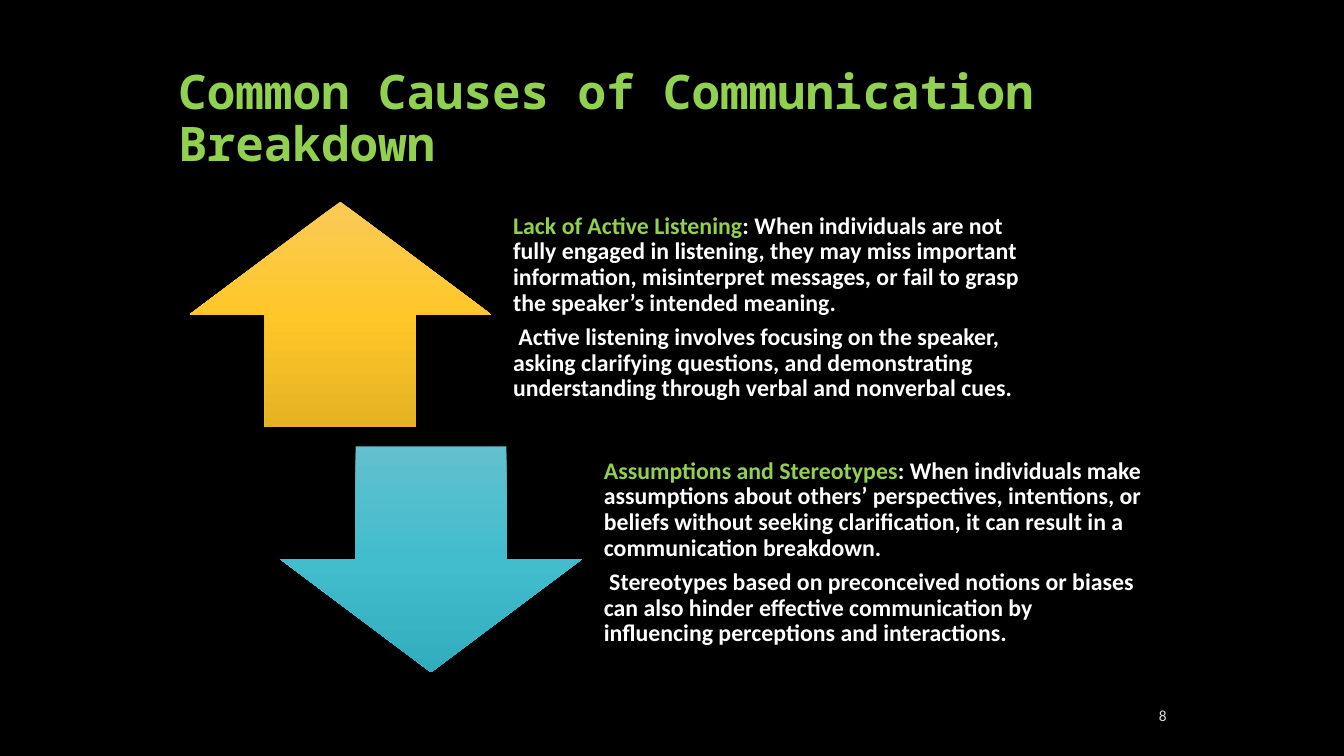
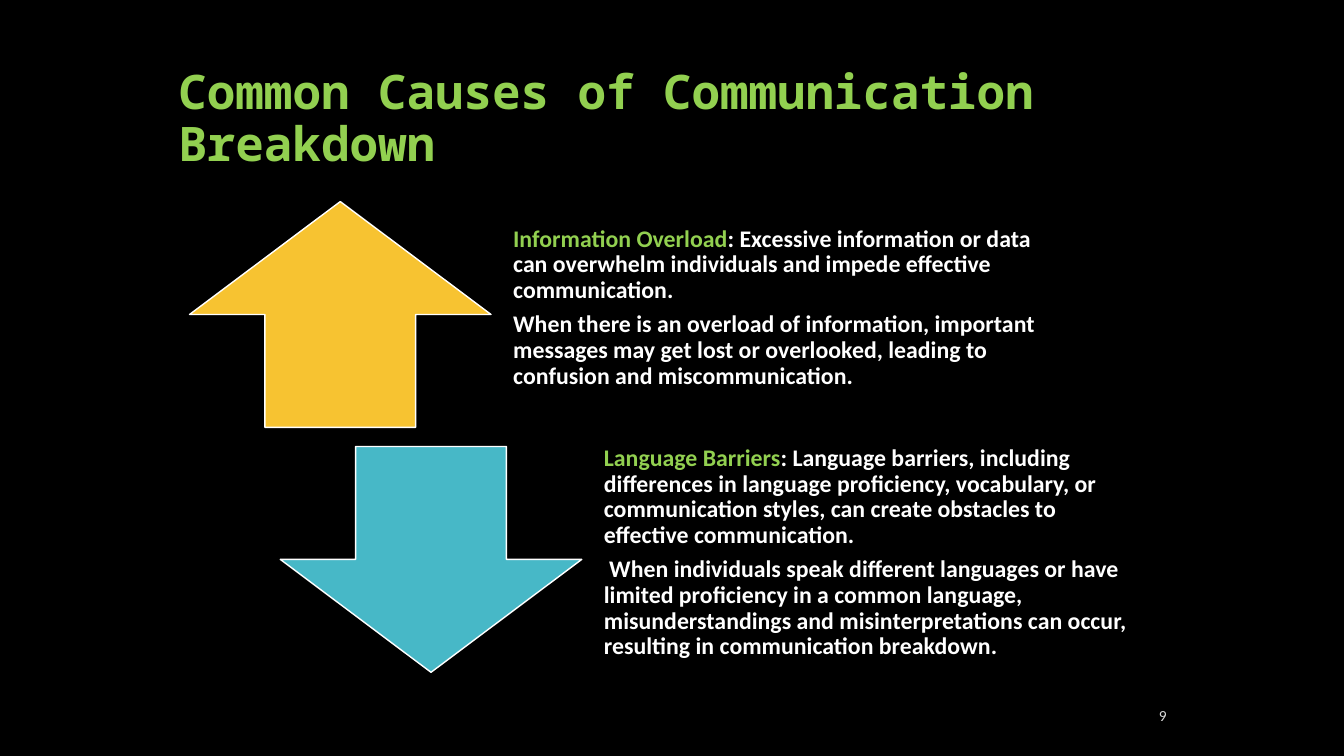
"""Build two slides on the causes of communication breakdown."""
from copy import deepcopy
from dataclasses import dataclass

from pptx import Presentation
from pptx.dml.color import RGBColor
from pptx.enum.shapes import MSO_SHAPE
from pptx.enum.text import MSO_ANCHOR, MSO_AUTO_SIZE, PP_ALIGN
from pptx.shapes.autoshape import Shape
from pptx.slide import Slide
from pptx.text.text import TextFrame
from pptx.util import Emu, Pt

SCALE = 9144
BLACK, WHITE, GREEN, GREY = "000000", "FFFFFF", "92D050", "D9D9D9"
HEAD = "Common Causes of Communication Breakdown"
ARROWS = (MSO_SHAPE.UP_ARROW, MSO_SHAPE.DOWN_ARROW)
LEFT, TOP, WIDE, HIGH = 188, 200, 299, 224
STEP, DROP = 90, 243
GAP, BODY = 9, 560


@dataclass(frozen=True)
class Cause:
    """One arrow with the cause it points out."""
    name: str
    lead: str
    more: str
    fill: tuple[str, ...]


@dataclass(frozen=True)
class Page:
    """One slide: its number and two causes."""
    num: int
    causes: tuple[Cause, Cause]
    edge: bool


PAGES = (
    Page(8, (
        Cause(
            "Lack of Active Listening",
            ": When individuals are not fully engaged in listening, they may miss "
            "important information, misinterpret messages, or fail to grasp the "
            "speaker’s intended meaning.",
            " Active listening involves focusing on the speaker, asking clarifying "
            "questions, and demonstrating understanding through verbal and "
            "nonverbal cues.",
            ("FACA57", "FFC729", "E5B222")),
        Cause(
            "Assumptions and Stereotypes",
            ": When individuals make assumptions about others’ perspectives, "
            "intentions, or beliefs without seeking clarification, it can result "
            "in a communication breakdown.",
            " Stereotypes based on preconceived notions or biases can also hinder "
            "effective communication by influencing perceptions and interactions.",
            ("63C0CE", "41BDCD", "32ADBE")),
    ), False),
    Page(9, (
        Cause(
            "Information Overload",
            ": Excessive information or data can overwhelm individuals and impede "
            "effective communication.",
            "When there is an overload of information, important messages may get "
            "lost or overlooked, leading to confusion and miscommunication.",
            ("F7C331",)),
        Cause(
            "Language Barriers",
            ": Language barriers, including differences in language proficiency, "
            "vocabulary, or communication styles, can create obstacles to "
            "effective communication.",
            " When individuals speak different languages or have limited "
            "proficiency in a common language, misunderstandings and "
            "misinterpretations can occur, resulting in communication breakdown.",
            ("47B8C7",)),
    ), True),
)


def px(num: int) -> Emu:
    """Turn px into EMU."""
    return Emu(num * SCALE)


def color(code: str) -> RGBColor:
    """Turn a hex string into a colour."""
    return RGBColor.from_string(code)


def write(frame: TextFrame, paras: list[list[tuple[str, str]]], *, size: int,
          font: str = "Calibri", bold: bool = False, line: float = 1.0,
          after: int = 0, align: PP_ALIGN = PP_ALIGN.LEFT,
          anchor: MSO_ANCHOR = MSO_ANCHOR.MIDDLE,
          inset: tuple[int, int, int, int] = (10, 5, 10, 5)) -> None:
    """Fill a frame with paragraphs of (text, colour) runs."""
    frame.word_wrap = True
    frame.auto_size = MSO_AUTO_SIZE.NONE
    frame.vertical_anchor = anchor
    (frame.margin_left, frame.margin_top,
     frame.margin_right, frame.margin_bottom) = map(px, inset)
    for idx, runs in enumerate(paras):
        para = frame.add_paragraph() if idx else frame.paragraphs[0]
        para.alignment, para.line_spacing = align, line
        para.space_before, para.space_after = Pt(0), Pt(after)
        for words, code in runs:
            run = para.add_run()
            run.text = words
            run.font.name, run.font.size, run.font.bold = font, Pt(size), bold
            run.font.color.rgb = color(code)


def add_box(slide: Slide, *area: int) -> TextFrame:
    """Add a text box and return its frame."""
    return slide.shapes.add_textbox(*map(px, area)).text_frame


def paint(shape: Shape, codes: tuple[str, ...]) -> None:
    """Fill a shape with one colour or an even top-down gradient."""
    if len(codes) == 1:
        shape.fill.solid()
        shape.fill.fore_color.rgb = color(codes[0])
        return
    shape.fill.gradient()
    shape.fill.gradient_angle = 270
    stops = shape.element.xpath(".//a:gsLst")[0]
    while len(stops) < len(codes):
        stops.append(deepcopy(stops[0]))
    for idx, stop in enumerate(shape.fill.gradient_stops):
        stop.position = idx / (len(codes) - 1)
        stop.color.rgb = color(codes[idx])


def add_cause(slide: Slide, cause: Cause, row: int, edge: bool) -> None:
    """Draw the arrow and text of one row."""
    left, top = LEFT + row * STEP, TOP + row * DROP
    arrow = slide.shapes.add_shape(
        ARROWS[row], *map(px, (left, top, WIDE, HIGH)))
    arrow.shadow.inherit = False
    paint(arrow, cause.fill)
    if edge:
        arrow.line.color.rgb = color(WHITE)
        arrow.line.width = Pt(1)
    else:
        arrow.line.fill.background()
    write(add_box(slide, left + WIDE + GAP, top, BODY, HIGH),
          [[(cause.name, GREEN), (cause.lead, WHITE)], [(cause.more, WHITE)]],
          size=17, bold=True, line=0.9, after=6, inset=(13, 0, 13, 13))


def add_page(prs: Presentation, page: Page) -> None:
    """Add one slide with title, causes and number."""
    slide = prs.slides.add_slide(prs.slide_layouts.get_by_name("Title Only"))
    title = slide.shapes.title
    title.left, title.top, title.width, title.height = map(
        px, (167, 50, 1067, 125))
    write(title.text_frame, [[(HEAD, GREEN)]], size=34, font="Noto Sans Mono",
          bold=True, line=0.9, anchor=MSO_ANCHOR.BOTTOM)
    for row, cause in enumerate(page.causes):
        add_cause(slide, cause, row, page.edge)
    write(add_box(slide, 1075, 696, 92, 28), [[(str(page.num), GREY)]],
          size=11, align=PP_ALIGN.RIGHT)


def main() -> None:
    """Build and save the slides."""
    prs = Presentation()
    prs.slide_width, prs.slide_height = px(1333), px(750)
    back = prs.slide_master.background.fill
    back.solid()
    back.fore_color.rgb = color(BLACK)
    for page in PAGES:
        add_page(prs, page)
    prs.save("out.pptx")


if __name__ == "__main__":
    main()
